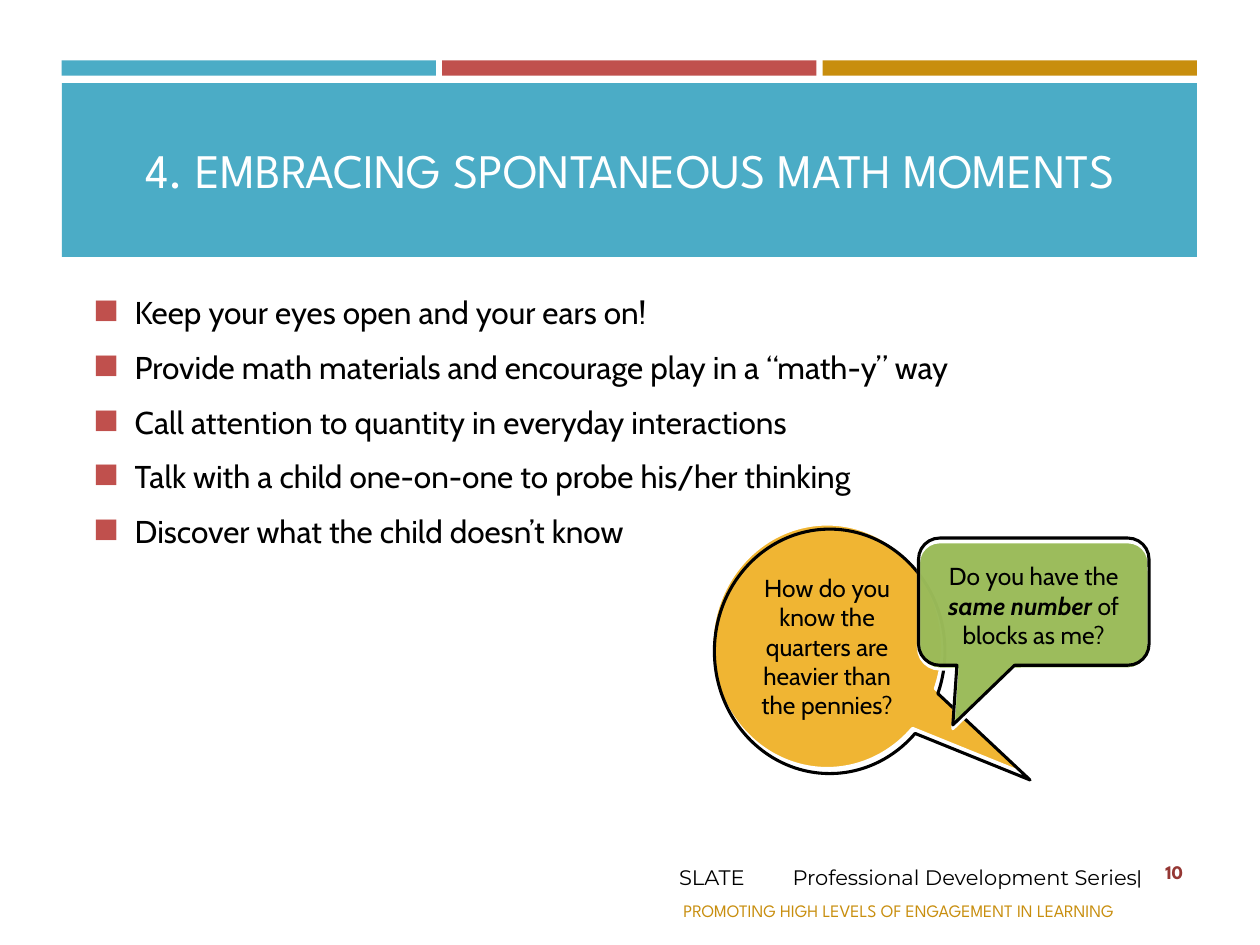
from dataclasses import dataclass, field

import pptx
import pptx.dml.color
import pptx.enum.shapes
import pptx.enum.text
import pptx.oxml.ns
import pptx.util
from lxml import etree

Inches = pptx.util.Inches
Pt = pptx.util.Pt
RGB = pptx.dml.color.RGBColor.from_string
MSO = pptx.enum.shapes.MSO_SHAPE
ALIGN = pptx.enum.text.PP_ALIGN
ANCHOR = pptx.enum.text.MSO_ANCHOR
qn = pptx.oxml.ns.qn


@dataclass(frozen=True)
class Theme:
    teal: str = "4BACC6"
    red: str = "C0504D"
    gold: str = "C88E0E"
    maroon: str = "953734"
    amber: str = "F0B42F"
    green: str = "9BBB59"
    black: str = "000000"
    white: str = "FFFFFF"
    heading: str = "League Spartan"
    body: str = "Cabin"
    footer: str = "Montserrat"
    title_pt: float = 27.5
    body_pt: float = 18
    bubble_pt: float = 14
    footer_pt: float = 12
    number_pt: float = 11
    tagline_pt: float = 10
    outline_pt: float = 1.75


T = Theme()


@dataclass(frozen=True)
class Box:
    left: float
    top: float
    width: float
    height: float

    def emu(self) -> list:
        return [Inches(v) for v in (self.left, self.top, self.width, self.height)]


@dataclass(frozen=True)
class Style:
    font: str
    size: float
    color: str
    bold: bool = False


@dataclass(frozen=True)
class Run:
    text: str
    extra: dict = field(default_factory=dict)


@dataclass(frozen=True)
class Bubble:
    kind: int
    fill_box: Box
    outline_box: Box
    adjustments: tuple
    color: str
    runs: tuple


def add_run(p, run: Run, style: Style) -> None:
    r = p.add_run()
    r.text = run.text
    r.font.color.rgb = RGB(style.color)
    values = {"name": style.font, "size": Pt(style.size), "bold": style.bold}
    for name, value in {**values, **run.extra}.items():
        setattr(r.font, name, value)


def set_frame(tf, anchor, **margins: float) -> None:
    tf.word_wrap = True
    tf.vertical_anchor = anchor
    for side, value in margins.items():
        setattr(tf, f"margin_{side}", Inches(value))


def add_text(s, box: Box, runs: tuple, style: Style, anchor=ANCHOR.MIDDLE):
    tf = s.shapes.add_textbox(*box.emu()).text_frame
    set_frame(tf, anchor)
    p = tf.paragraphs[0]
    p.alignment = ALIGN.CENTER
    for run in runs:
        add_run(p, run, style)
    return tf


def add_bar(s, box: Box, color: str) -> None:
    sp = s.shapes.add_shape(MSO.RECTANGLE, *box.emu())
    sp.shadow.inherit = False
    sp.fill.solid()
    sp.fill.fore_color.rgb = RGB(color)
    sp.line.fill.background()


def add_callout(s, bubble: Bubble, box: Box, line_color: str):
    sp = s.shapes.add_shape(bubble.kind, *box.emu())
    sp.shadow.inherit = False
    for i, value in enumerate(bubble.adjustments):
        sp.adjustments[i] = value
    sp.line.color.rgb = RGB(line_color)
    sp.line.width = Pt(T.outline_pt)
    return sp


def add_bubble(s, bubble: Bubble, style: Style) -> None:
    sp = add_callout(s, bubble, bubble.fill_box, T.white)
    sp.fill.solid()
    sp.fill.fore_color.rgb = RGB(bubble.color)
    color = sp.fill._xPr.find(qn("a:solidFill"))[0]
    etree.SubElement(color, qn("a:alpha"), val="98000")
    set_frame(sp.text_frame, ANCHOR.MIDDLE, left=0, right=0, top=0.1, bottom=0.1)
    p = sp.text_frame.paragraphs[0]
    p.alignment = ALIGN.CENTER
    for run in bubble.runs:
        add_run(p, run, style)
    add_callout(s, bubble, bubble.outline_box, T.black).fill.background()


def add_bullets(s, box: Box, items: tuple, style: Style) -> None:
    tf = s.shapes.add_textbox(*box.emu()).text_frame
    set_frame(tf, ANCHOR.TOP)
    for i, item in enumerate(items):
        p = tf.add_paragraph() if i else tf.paragraphs[0]
        pPr = p._p.get_or_add_pPr()
        pPr.set("marL", str(Inches(0.33)))
        pPr.set("indent", str(-Inches(0.33)))
        bullet_color = etree.SubElement(pPr, qn("a:buClr"))
        etree.SubElement(bullet_color, qn("a:srgbClr"), val=T.red)
        etree.SubElement(pPr, qn("a:buChar"), char="◼")
        if i:
            p.space_before = Pt(9.6)
        add_run(p, Run(item), style)


def add_footer(s) -> None:
    add_text(s, Box(9.06, 6.72, 0.52, 0.4), (Run("10"),),
             Style(T.heading, T.number_pt, T.maroon, True))
    tf = add_text(s, Box(4.86, 6.78, 4.72, 0.37),
                  (Run("SLATE\tProfessional Development Series"), Run("|", {"name": T.heading})),
                  Style(T.footer, T.footer_pt, T.black))
    # The tab stop separates the programme name from the series name
    tf.margin_left = Inches(0.53)
    p = tf.paragraphs[0]
    p.alignment = ALIGN.LEFT
    tabs = etree.SubElement(p._p.get_or_add_pPr(), qn("a:tabLst"))
    etree.SubElement(tabs, qn("a:tab"), pos=str(Inches(0.9)), algn="l")
    add_text(s, Box(5.09, 7.09, 4.08, 0.27),
             (Run("PROMOTING HIGH LEVELS OF ENGAGEMENT IN LEARNING"),),
             Style(T.heading, T.tagline_pt, T.gold), ANCHOR.TOP)


BULLETS = (
    "Keep your eyes open and your ears on!",
    "Provide math materials and encourage play in a “math-y” way",
    "Call attention to quantity in everyday interactions",
    "Talk with a child one-on-one to probe his/her thinking",
    "Discover what the child doesn’t know",
)

BUBBLES = (
    Bubble(MSO.OVAL_CALLOUT, Box(5.65, 4.16, 1.83, 1.94), Box(5.67, 4.2, 1.83, 1.94),
           (0.869, 0.526), T.amber,
           (Run("How do you know the quarters are heavier than the pennies?"),)),
    Bubble(MSO.ROUNDED_RECTANGULAR_CALLOUT, Box(7.29, 4.3, 1.83, 1.01),
           Box(7.29, 4.27, 1.83, 1.01), (-0.351, 0.969, 0.167), T.green,
           (Run("Do you have the "),
            Run("same number ", {"bold": True, "italic": True}),
            Run("of blocks as me?"))),
)


def main() -> None:
    prs = pptx.Presentation()
    prs.slide_width, prs.slide_height = Inches(10), Inches(7.5)
    s = prs.slides.add_slide(prs.slide_layouts[6])

    # Header: three accent bars above the title band
    for i, color in enumerate((T.teal, T.red, T.gold)):
        add_bar(s, Box(0.49 + i * 3.02, 0.48, 2.97, 0.12), color)
    add_bar(s, Box(0.49, 0.66, 9.01, 1.38), T.teal)
    add_footer(s)
    add_text(s, Box(0.5, 0.75, 9, 1.18), (Run("4. EMBRACING SPONTANEOUS MATH MOMENTS"),),
             Style(T.heading, T.title_pt, T.white))

    # Body and speech bubbles
    add_bullets(s, Box(0.64, 2.28, 7.85, 4.25), BULLETS, Style(T.body, T.body_pt, T.black))
    for bubble in BUBBLES:
        add_bubble(s, bubble, Style(T.body, T.bubble_pt, T.black))

    prs.save("out.pptx")


if __name__ == "__main__":
    main()
